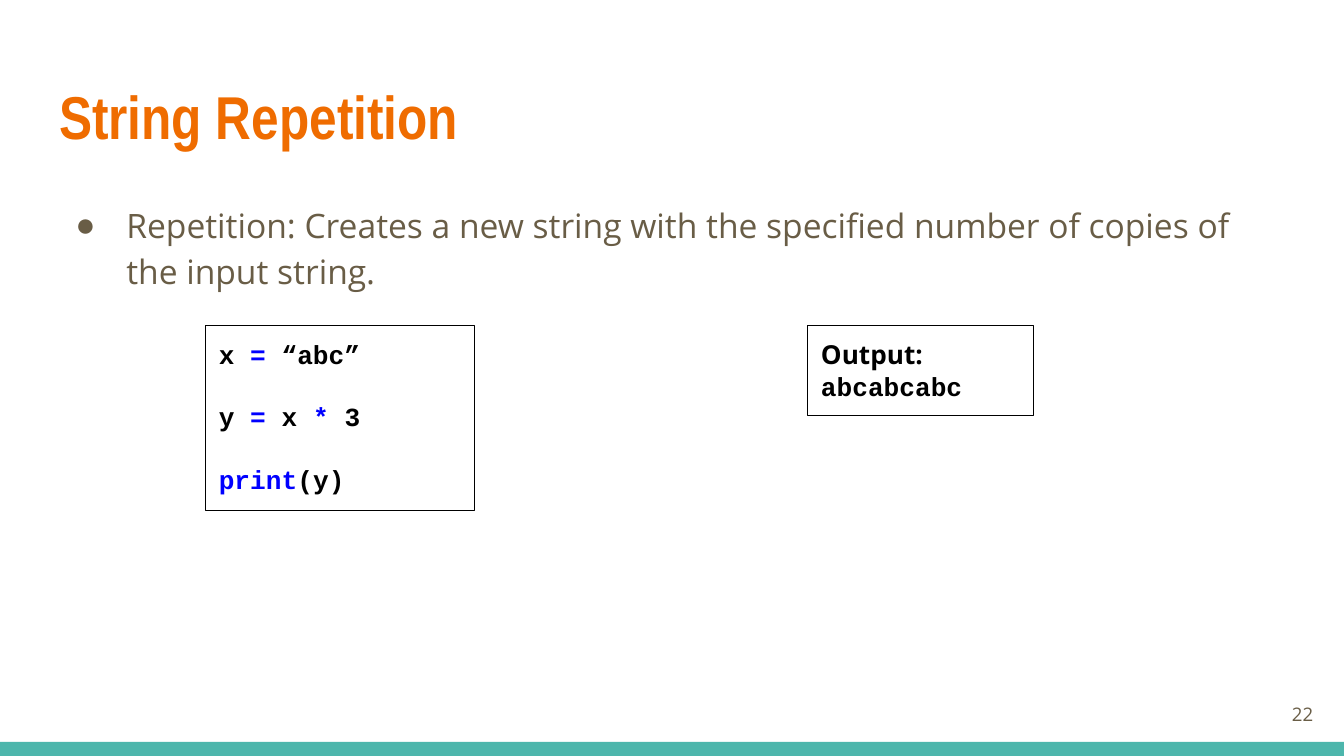
import pptx
import pptx.dml.color
import pptx.enum.shapes
import pptx.enum.text
import pptx.oxml
import pptx.oxml.ns
import pptx.util
from pptx.util import Inches

RGBColor = pptx.dml.color.RGBColor
ANCHOR = pptx.enum.text.MSO_ANCHOR
ALIGN = pptx.enum.text.PP_ALIGN

TEAL = RGBColor(0x4D, 0xB6, 0xAC)
ORANGE = RGBColor(0xEF, 0x6C, 0x00)
BROWN = RGBColor(0x69, 0x5D, 0x46)
BLACK = RGBColor(0, 0, 0)
BLUE = RGBColor(0, 0, 0xFF)

HEADING = "Arial Narrow"
BODY = "Open Sans"
CODE = "Courier New"

CODE_LINES = [
    [("x ", BLACK), ("=", BLUE), (" “abc”", BLACK)],
    [("y ", BLACK), ("=", BLUE), (" x ", BLACK), ("*", BLUE), (" 3", BLACK)],
    [("print", BLUE), ("(y)", BLACK)],
]


def place(sp, left, top, width, height):
    sp.left, sp.top = Inches(left), Inches(top)
    sp.width, sp.height = Inches(width), Inches(height)


def prepare_frame(sp, anchor=ANCHOR.TOP):
    tf = sp.text_frame
    tf.word_wrap = True
    tf.auto_size = pptx.enum.text.MSO_AUTO_SIZE.NONE
    tf.vertical_anchor = anchor
    tf.margin_left = tf.margin_right = Inches(0.1)
    tf.margin_top = tf.margin_bottom = Inches(0.1)
    return tf


def add_run(p, text, font, size, color, bold=False):
    r = p.add_run()
    r.text = text
    r.font.name = font
    r.font.size = pptx.util.Pt(size)
    r.font.color.rgb = color
    r.font.bold = bold


def set_bullet(p, char, color):
    """Give the paragraph a hanging bullet of its own colour."""
    pPr = p._p.get_or_add_pPr()
    pPr.set("marL", str(Inches(0.5)))
    pPr.set("indent", str(Inches(-0.38)))
    ns = pptx.oxml.ns.nsdecls("a")
    for xml in (
        f'<a:buClr {ns}><a:srgbClr val="{color}"/></a:buClr>',
        f'<a:buFont {ns} typeface="Arial"/>',
        f'<a:buChar {ns} char="{char}"/>',
    ):
        pPr.append(pptx.oxml.parse_xml(xml))


def add_title(s, text):
    sp = s.shapes.title
    place(sp, 0.34, 0.49, 9.32, 0.77)
    p = prepare_frame(sp).paragraphs[0]
    p.alignment = ALIGN.LEFT
    add_run(p, text, HEADING, 32.4, ORANGE, bold=True)


def add_body(s, text):
    sp = s.placeholders[1]
    place(sp, 0.34, 1.38, 9.32, 3.61)
    p = prepare_frame(sp).paragraphs[0]
    set_bullet(p, "●", BROWN)
    p.line_spacing = 1.15
    p.space_before = pptx.util.Pt(0)
    add_run(p, text, BODY, 18, BROWN)


def add_rectangle(s, left, top, width, height):
    sp = s.shapes.add_shape(
        pptx.enum.shapes.MSO_SHAPE.RECTANGLE,
        Inches(left), Inches(top), Inches(width), Inches(height))
    sp.shadow.inherit = False
    return sp


def add_footer_bar(s):
    sp = add_rectangle(s, 0, 5.52, 10, 0.11)
    sp.fill.solid()
    sp.fill.fore_color.rgb = TEAL
    sp.line.fill.background()


def add_outlined_box(s, left, width, height, lines, gap=0):
    """Draw a box of bold lines; each line is a list of (text, font, colour)."""
    sp = add_rectangle(s, left, 2.42, width, height)
    sp.fill.background()
    sp.line.color.rgb = BLACK
    sp.line.width = pptx.util.Pt(0.75)
    tf = prepare_frame(sp)
    for i, line in enumerate(lines):
        p = tf.add_paragraph() if i else tf.paragraphs[0]
        p.alignment = ALIGN.LEFT
        p.space_before = pptx.util.Pt(gap if i else 0)
        for text, font, color in line:
            add_run(p, text, font, 14, color, bold=True)


def add_page_number(s, number):
    sp = s.shapes.add_textbox(
        Inches(9.27), Inches(5.1), Inches(0.6), Inches(0.43))
    p = prepare_frame(sp, ANCHOR.MIDDLE).paragraphs[0]
    p.alignment = ALIGN.RIGHT
    add_run(p, number, BODY, 10, BROWN)


def main():
    prs = pptx.Presentation()
    prs.slide_width = Inches(10)
    prs.slide_height = prs.slide_width * 9 // 16
    s = prs.slides.add_slide(prs.slide_layouts[1])
    add_footer_bar(s)
    add_title(s, "String Repetition")
    add_body(s, "Repetition: Creates a new string with the specified number "
                "of copies of the input string.")
    add_page_number(s, "22")
    code = [[(text, CODE, color) for text, color in line]
            for line in CODE_LINES]
    add_outlined_box(s, 1.53, 2, 1.38, code, gap=16.5)
    add_outlined_box(s, 6.01, 1.68, 0.67, [
        [("Output:", BODY, BLACK)],
        [("abcabcabc", CODE, BLACK)],
    ])
    prs.save("out.pptx")


if __name__ == "__main__":
    main()
